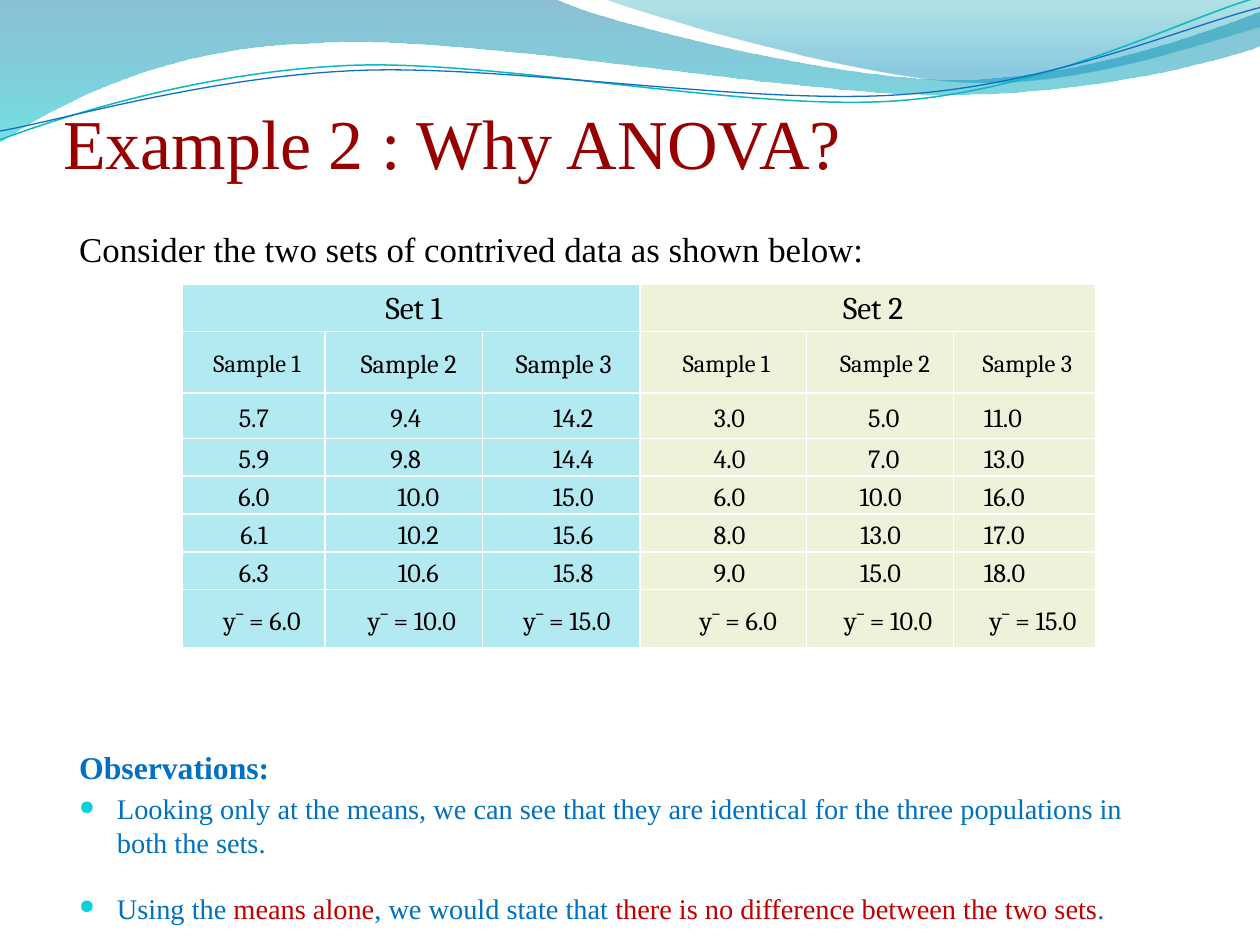
import dataclasses
import typing

import lxml.etree
import pptx
import pptx.dml.color
import pptx.enum.text
import pptx.oxml.ns
import pptx.util

GRID_UNIT = pptx.util.Inches(1)
GRID_COLUMNS, GRID_ROWS = 10, 7.5
SERIF, TABLE_FONT = "Times New Roman", "Cambria"
BLACK, BLUE, RED, WHITE = "000000", "0070C0", "C00000", "FFFFFF"
CENTER = pptx.enum.text.PP_ALIGN.CENTER
LEFT = pptx.enum.text.PP_ALIGN.LEFT
Point = tuple[float, float]
Margins = tuple[float, float]


@dataclasses.dataclass
class Wave:
    start: Point
    segments: list[tuple[Point, ...]]
    stops: typing.Sequence[tuple[float, str, int]] = ()
    line: tuple[str, float] | None = None


@dataclasses.dataclass
class Sample:
    width: float
    fill: str
    heading_size: int
    heading_indent: float
    values: list[str]
    mean: str
    mean_indent: float
    narrow: Margins = (0, 0)
    wide: Margins = (0, 0)
    align: typing.Any = CENTER


@dataclasses.dataclass
class Passage:
    runs: list[tuple[str, str]]
    size: float
    before: float = 0
    bold: bool = False
    bullet: bool = False


WAVES = [
    Wave((0, 0), [((4.4, -0.01),),
                  ((4.76, 0.17), (6.64, 0.63), (7.58, 0.63)),
                  ((8.53, 0.63), (9.58, 0.26), (10, 0.09)),
                  ((10.01, 0.36),),
                  ((9.83, 0.44), (8.7, 0.76), (7.46, 0.75)),
                  ((6.22, 0.75), (3.82, 0.28), (2.57, 0.34)),
                  ((1.29, 0.36), (0.46, 0.83), (-0.01, 1.13))],
         stops=[(0, "0074A1", 45), (1, "00C6CF", 55)]),
    Wave((4.79, -0.01), [((5.09, 0.11), (6.82, 0.62), (7.69, 0.65)),
                         ((8.56, 0.69), (9.61, 0.32), (10, 0.21)),
                         ((10, 0),)],
         stops=[(0, "00A1A9", 30), (0.8, "008BBF", 45)]),
    Wave((0, 1.11), [((0.48, 0.93), (1.58, 0.57), (2.77, 0.52)),
                     ((3.95, 0.47), (5.93, 0.89), (7.13, 0.8)),
                     ((8.33, 0.71), (9.38, 0.15), (9.98, -0.02))],
         line=("0AB8BF", 0.85)),
    Wave((0, 1.04), [((0.47, 0.96), (1.64, 0.61), (2.83, 0.56)),
                     ((4.03, 0.51), (5.97, 0.84), (7.17, 0.75)),
                     ((8.36, 0.67), (9.41, 0.21), (10, 0.06))],
         line=("0F6FC6", 0.75)),
]

AQUA, OLIVE = "B3EAF2", "EDF3DB"
SAMPLES = [
    Sample(1.13, AQUA, 14, 0.05, ["5.7", "5.9", "6.0", "6.1", "6.3"], "6.0", 0.13,
           narrow=(0.21, 0.21)),
    Sample(1.25, AQUA, 15, 0.08, ["9.4", "9.8", "10.0", "10.2", "10.6"], "10.0", 0.13,
           narrow=(0.26, 0.23), wide=(0.23, 0)),
    Sample(1.25, AQUA, 15, 0.04, ["14.2", "14.4", "15.0", "15.6", "15.8"], "15.0", 0.09,
           wide=(0.19, 0)),
    Sample(1.32, OLIVE, 14, 0.05, ["3.0", "4.0", "6.0", "8.0", "9.0"], "6.0", 0.24,
           narrow=(0.32, 0.22)),
    Sample(1.17, OLIVE, 14, 0.08, ["5.0", "7.0", "10.0", "13.0", "15.0"], "10.0", 0.13,
           narrow=(0.26, 0.2), wide=(0.21, 0.2)),
    Sample(1.13, OLIVE, 14, 0.04, ["11.0", "13.0", "16.0", "17.0", "18.0"], "15.0", 0.13,
           wide=(0.23, 0), align=LEFT),
]
SET_INDENTS = [0.04, 0.08]
SAMPLES_PER_SET = 3
ROW_HEIGHTS = [0.37, 0.49, 0.36, 0.3, 0.3, 0.3, 0.3, 0.46]

PASSAGES = [
    Passage([("Consider the two sets of contrived data as shown below:", BLACK)], 19.9),
    Passage([("Observations:", BLUE)], 18.1, before=273, bold=True),
    Passage([("Looking only at the means, we can see that they are identical for the "
              "three populations in both the sets.", BLUE)], 16.2, before=3.5, bullet=True),
    Passage([("Using the ", BLUE), ("means alone", RED), (", we would state that ", BLUE),
             ("there is no difference between the two sets", RED), (".", BLUE)],
            16.2, before=17.8, bullet=True),
]


def units(count: float) -> int:
    return round(count * GRID_UNIT)


def color(value: str) -> pptx.dml.color.RGBColor:
    return pptx.dml.color.RGBColor.from_string(value)


def add_xml(parent, tag: str, **attributes):
    return lxml.etree.SubElement(parent, pptx.oxml.ns.qn(tag), attributes)


def set_font(font, name: str, size: float, hue: str, bold: bool = False) -> None:
    font.name, font.size, font.bold = name, pptx.util.Pt(size), bold
    font.color.rgb = color(hue)


def bend(ribbon, wave: Wave) -> None:
    steps = iter(list(ribbon._element.iter(pptx.oxml.ns.qn("a:lnTo"))))
    for segment in wave.segments:
        first, *others = [next(steps) for _ in segment]
        if others:
            first.tag = pptx.oxml.ns.qn("a:cubicBezTo")
        for step in others:
            first.append(step[0])
            step.getparent().remove(step)


def draw_wave(slide, wave: Wave) -> None:
    start, *points = [(units(x), units(y)) for x, y in
                      [wave.start] + [point for segment in wave.segments for point in segment]]
    builder = slide.shapes.build_freeform(*start)
    builder.add_line_segments(points, close=bool(wave.stops))
    ribbon = builder.convert_to_shape()
    bend(ribbon, wave)
    ribbon.shadow.inherit = False
    if wave.line:
        ribbon.fill.background()
        ribbon.line.color.rgb = color(wave.line[0])
        ribbon.line.width = pptx.util.Pt(wave.line[1])
        return
    ribbon.line.fill.background()
    ribbon.fill.gradient()
    ribbon.fill.gradient_angle = 270
    for stop, (position, hue, _) in zip(ribbon.fill.gradient_stops, wave.stops):
        stop.position = position
        stop.color.rgb = color(hue)
    tints = ribbon._element.spPr.iter(pptx.oxml.ns.qn("a:srgbClr"))
    for tint, (_, _, opacity) in zip(tints, wave.stops):
        add_xml(tint, "a:alpha", val=str(opacity * 1000))


def fill_cell(cell, text: str, fill: str, size: float, margins: Margins,
              align=CENTER, spacing: float = 1.15) -> None:
    for side in ("a:lnL", "a:lnR", "a:lnT", "a:lnB"):
        border = add_xml(cell._tc.get_or_add_tcPr(), side, w=str(pptx.util.Pt(1)))
        add_xml(add_xml(border, "a:solidFill"), "a:srgbClr", val=WHITE)
    cell.fill.solid()
    cell.fill.fore_color.rgb = color(fill)
    cell.vertical_anchor = pptx.enum.text.MSO_ANCHOR.MIDDLE
    cell.margin_left = cell.margin_right = cell.margin_top = units(0.01)
    cell.margin_bottom = 0
    cell.text_frame.text = text
    paragraph = cell.text_frame.paragraphs[0]
    paragraph.alignment, paragraph.line_spacing = align, spacing
    for name, margin in zip(("marL", "marR"), margins):
        paragraph._p.get_or_add_pPr().set(name, str(units(margin)))
    for run in paragraph.runs:
        set_font(run.font, TABLE_FONT, size, BLACK)


def draw_samples(slide) -> None:
    table = slide.shapes.add_table(
        len(ROW_HEIGHTS), len(SAMPLES), units(1.45), units(2.26),
        units(sum(sample.width for sample in SAMPLES)), units(sum(ROW_HEIGHTS))).table
    table.first_row = table.horz_banding = False
    for row, height in zip(table.rows, ROW_HEIGHTS):
        row.height = units(height)
    for index, sample in enumerate(SAMPLES):
        table.columns[index].width = units(sample.width)
        group, place = divmod(index, SAMPLES_PER_SET)
        heading = f"Set {group + 1}" if place == 0 else ""
        fill_cell(table.cell(0, index), heading, sample.fill, 18,
                  (SET_INDENTS[group], 0), spacing=1.06)
        fill_cell(table.cell(1, index), f"Sample {place + 1}", sample.fill,
                  sample.heading_size, (sample.heading_indent, 0))
        for row, value in enumerate(sample.values, start=2):
            fill_cell(table.cell(row, index), value, sample.fill, 15,
                      sample.narrow if len(value) == 3 else sample.wide, sample.align)
        fill_cell(table.cell(len(ROW_HEIGHTS) - 1, index), f"y¯ = {sample.mean}",
                  sample.fill, 15, (sample.mean_indent, 0))
    for first in range(0, len(SAMPLES), SAMPLES_PER_SET):
        table.cell(0, first).merge(table.cell(0, first + SAMPLES_PER_SET - 1))


def write_passages(slide) -> None:
    frame = slide.shapes.add_textbox(
        units(0.53), units(1.76), units(8.91), units(5.06)).text_frame
    frame.word_wrap = True
    frame.margin_right = units(0.2)
    for index, passage in enumerate(PASSAGES):
        paragraph = frame.add_paragraph() if index else frame.paragraphs[0]
        if passage.bullet:
            properties = paragraph._p.get_or_add_pPr()
            properties.set("marL", str(units(0.3)))
            properties.set("indent", str(units(-0.3)))
            add_xml(add_xml(properties, "a:buClr"), "a:srgbClr", val="0BD0D9")
            add_xml(properties, "a:buSzPct", val="70000")
            add_xml(properties, "a:buChar", char="●")
        if passage.before:
            paragraph.space_before = pptx.util.Pt(passage.before)
        for text, hue in passage.runs:
            run = paragraph.add_run()
            run.text = text
            set_font(run.font, SERIF, passage.size, hue, passage.bold)


def write_title(slide) -> None:
    title = slide.shapes.title
    title.left, title.top, title.width, title.height = map(units, (0.5, 0.76, 9, 0.7))
    frame = title.text_frame
    frame.margin_left = frame.margin_right = frame.margin_bottom = 0
    frame.vertical_anchor = pptx.enum.text.MSO_ANCHOR.BOTTOM
    frame.text = "Example 2 : Why ANOVA?"
    frame.paragraphs[0].alignment = LEFT
    set_font(frame.paragraphs[0].runs[0].font, SERIF, 40, "960000")
    slide.shapes._spTree.append(title._element)


def main() -> None:
    deck = pptx.Presentation()
    deck.slide_width, deck.slide_height = units(GRID_COLUMNS), units(GRID_ROWS)
    slide = deck.slides.add_slide(deck.slide_layouts[5])
    for wave in WAVES:
        draw_wave(slide, wave)
    write_title(slide)
    write_passages(slide)
    draw_samples(slide)
    deck.save("out.pptx")


if __name__ == "__main__":
    main()
